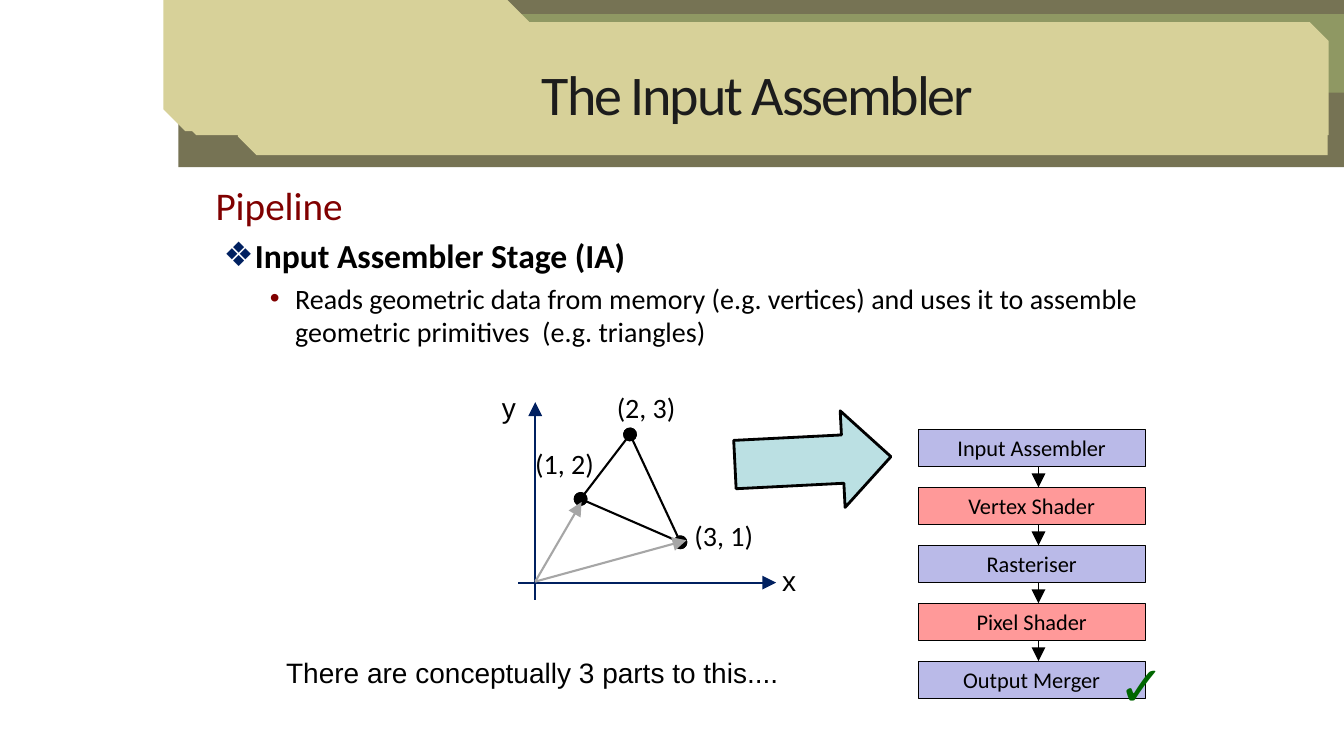
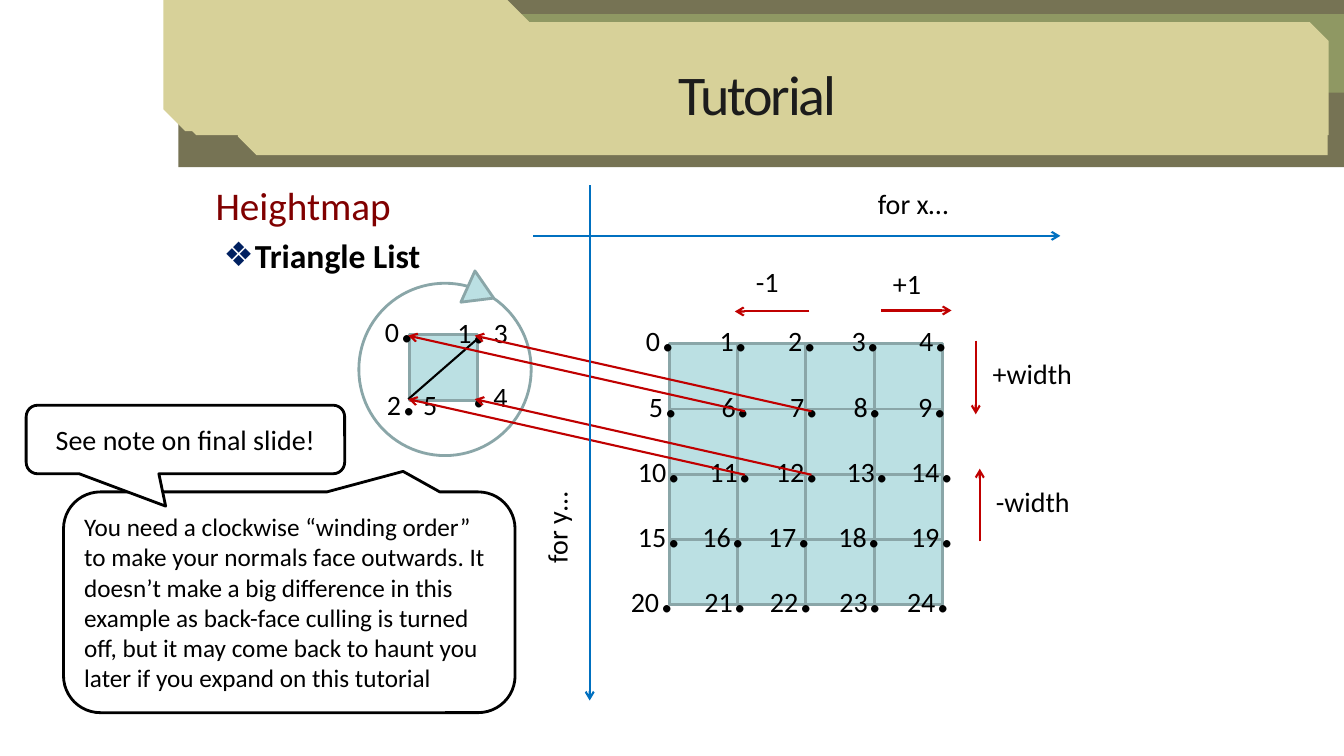
from dataclasses import dataclass
from typing import Any

from lxml import etree
from pptx import Presentation
from pptx.dml.color import RGBColor
from pptx.enum.shapes import MSO_CONNECTOR, MSO_SHAPE
from pptx.enum.text import MSO_ANCHOR, PP_ALIGN
from pptx.oxml.ns import qn
from pptx.util import Inches, Pt

RECT = MSO_SHAPE.RECTANGLE
SNIPPED = MSO_SHAPE.SNIP_2_DIAG_RECTANGLE
CALLOUT = MSO_SHAPE.ROUNDED_RECTANGULAR_CALLOUT
STRAIGHT = MSO_CONNECTOR.STRAIGHT
LEFT, CENTER = PP_ALIGN.LEFT, PP_ALIGN.CENTER
TOP, MIDDLE = MSO_ANCHOR.TOP, MSO_ANCHOR.MIDDLE

# The slide is a grid of square cells, a tenth of an inch each.
CELL = Inches(0.1)
COLUMNS, ROWS = 133.33, 75
FONT, PLAIN_FONT = "Calibri", "Arial"
COLORS = {
    "band_dark": "767354", "band_green": "8F9863", "band_sand": "D7D199",
    "title": "1C1C1C", "heading": "800000", "navy": "002060",
    "black": "000000", "white": "FFFFFF", "grey": "A6A6A6",
    "fixed_stage": "BABAE8", "shader_stage": "FF9999", "tick": "006600",
    "mesh": "BBE0E3", "mesh_line": "8AA6A8", "red": "C00000", "blue": "0070C0",
}


def rgb(name):
    return RGBColor.from_string(COLORS[name])


def write(para, spans, color="black", font=FONT, bold=False):
    """Fill a paragraph with (text, size) spans."""
    for text, size in spans:
        span = para.add_run()
        span.text = text
        span.font.name = font
        span.font.size = Pt(size)
        span.font.bold = bold
        span.font.color.rgb = rgb(color)


@dataclass
class Region:
    """A box on a slide; its parts are placed in cells from its top left."""
    slide: Any
    left: float
    top: float
    width: float
    height: float

    def place(self, x, y):
        return round((self.left + x) * CELL), round((self.top + y) * CELL)

    def shape(self, kind, x, y, width, height, fill=None, line=None, weight=2, rotation=0):
        shape = self.slide.shapes.add_shape(
            kind, *self.place(x, y), round(width * CELL), round(height * CELL))
        shape.shadow.inherit = False
        shape.rotation = rotation
        if fill:
            shape.fill.solid()
            shape.fill.fore_color.rgb = rgb(fill)
        else:
            shape.fill.background()
        if line:
            shape.line.color.rgb = rgb(line)
            shape.line.width = Pt(weight)
        else:
            shape.line.fill.background()
        return shape

    def line(self, start, end, color, weight=1.5, head=None, tail=None):
        line = self.slide.shapes.add_connector(STRAIGHT, *self.place(*start), *self.place(*end))
        line.line.color.rgb = rgb(color)
        line.line.width = Pt(weight)
        outline = line.line._get_or_add_ln()
        for tag, kind in (("a:headEnd", head), ("a:tailEnd", tail)):
            if kind:
                size = "med" if kind == "arrow" else "lg"
                etree.SubElement(outline, qn(tag), type=kind, w=size, len=size)
        etree.SubElement(line._element.spPr, qn("a:effectLst"))

    def text(self, x, y, width, height, spans, color="black", font=FONT,
             align=LEFT, anchor=TOP, rotation=0):
        box = self.slide.shapes.add_textbox(
            *self.place(x, y), round(width * CELL), round(height * CELL))
        box.rotation = rotation
        fill_text(box, spans, color, font, align, anchor)
        return box

    def label(self, x, y, text, font=FONT, width=11.5, rotation=0):
        self.text(x, y, width, 4.4, [(text, 20)], font=font, rotation=rotation)


def fill_text(shape, spans, color="black", font=FONT, align=CENTER, anchor=MIDDLE):
    frame = shape.text_frame
    frame.word_wrap = True
    frame.vertical_anchor = anchor
    para = frame.paragraphs[0]
    para.alignment = align
    write(para, spans, color, font)


def header(region, title):
    for kind, x, y, width, height, fill in (
            (RECT, 17.7, 0, 115.63, 16.6, "band_dark"),
            (RECT, 23.1, 1.4, 110.23, 7.8, "band_green"),
            (SNIPPED, 16.2, 0, 36.3, 13, "band_sand"),
            (SNIPPED, 17.6, 2.2, 114.2, 11.2, "band_sand"),
            (SNIPPED, 23.6, 4.2, 108.1, 11.2, "band_sand")):
        region.shape(kind, x, y, width, height, fill)
    box = region.text(23.6, 3, 103.1, 12.5, [(title, 40)], "title", align=CENTER, anchor=MIDDLE)
    for span in box.text_frame.paragraphs[0].runs:
        span.font._element.set("spc", "-150")


def outline(region, texts):
    """Heading, diamond point and dotted detail, one paragraph each."""
    levels = (
        # size, colour, bold, indent, hanging, bullet, bullet colour
        (28, "heading", False, 0.38, 0.38, None, None),
        (24, "black", True, 0.39, 0.31, "❖", "navy"),
        (20, "black", False, 0.79, 0.25, "•", "heading"),
    )
    box = region.slide.shapes.add_textbox(
        *region.place(0, 0), round(region.width * CELL), round(region.height * CELL))
    frame = box.text_frame
    frame.word_wrap = True
    for index, (text, level) in enumerate(zip(texts, levels)):
        size, color, bold, indent, hanging, bullet, bullet_color = level
        para = frame.add_paragraph() if index else frame.paragraphs[0]
        para.space_before = Pt(size * 0.2)
        write(para, [(text, size)], color, bold=bold)
        properties = para._p.get_or_add_pPr()
        properties.set("marL", str(Inches(indent)))
        properties.set("indent", str(-Inches(hanging)))
        if bullet:
            tint = etree.SubElement(properties, qn("a:buClr"))
            etree.SubElement(tint, qn("a:srgbClr"), val=COLORS[bullet_color])
            etree.SubElement(properties, qn("a:buFont"), typeface=PLAIN_FONT)
            etree.SubElement(properties, qn("a:buChar"), char=bullet)


def pipeline(region, stages):
    stage_height = 3.7
    pitch = (region.height - stage_height) / (len(stages) - 1)
    arrow_x = region.width * 0.53
    for index, name in enumerate(stages):
        fill = "shader_stage" if "Shader" in name else "fixed_stage"
        stage = region.shape(RECT, 0, index * pitch, region.width, stage_height,
                             fill, "black", 0.75)
        fill_text(stage, [(name, 16)])
    for index in range(len(stages) - 1):
        region.line((arrow_x, index * pitch + stage_height), (arrow_x, (index + 1) * pitch),
                    "black", 0.75, tail="triangle")
    region.text(18.9, 21.4, 6.7, 7.7, [("✓", 40)], "tick", PLAIN_FONT)


def triangle_plot(region):
    """Axes with a triangle and the vectors to two of its corners."""
    left_corner, top_corner, right_corner = (9.6, 11.5), (14.5, 5.1), (19.5, 15.8)
    origin = (5.1, 19.7)
    for start, end in ((right_corner, left_corner), (top_corner, left_corner),
                       (top_corner, right_corner)):
        region.line(start, end, "black", head="oval", tail="oval")
    region.line((5.1, 21.5), (5.1, 1.9), "navy", tail="triangle")
    region.line((3.4, 19.8), (29, 19.8), "navy", tail="triangle")
    for tip in ((20.1, 15.6), (9.7, 11.8)):
        region.line(origin, tip, "grey", tail="triangle")
    for x, y, text in ((19.9, 12.9, "(3, 1)"), (12.2, 0.3, "(2, 3)"), (4.1, 5.8, "(1, 2)")):
        region.label(x, y, text)
    region.label(28.6, 17.4, "x", PLAIN_FONT)
    region.label(0.8, 0.2, "y", PLAIN_FONT)


def mesh(region, label_columns):
    """Square grid of cells with a numbered dot at each node."""
    count = len(label_columns) - 1
    cell_width, cell_height = region.width / count, region.height / count
    for row in range(count):
        for column in range(count):
            region.shape(RECT, column * cell_width, row * cell_height,
                         cell_width, cell_height, "mesh", "mesh_line")
    number = 0
    for row, columns in enumerate(label_columns):
        for x in columns:
            region.text(x, row * cell_height - 5.8, 7.6, 8.4, [(str(number), 20), (".", 44)])
            number += 1


def winding_quad(region):
    """One mesh cell as two triangles inside a clockwise circle."""
    region.shape(RECT, 5, 5.6, 6.8, 6.5, "mesh", "mesh_line")
    region.line((4.9, 12), (11.9, 5.9), "black")
    for x, y, spans in (
            (1.6, -0.2, [("0", 20), (".", 44)]),
            (1.8, 7, [("2", 20), (".", 44), (" 5", 20)]),
            (8.8, -0.1, [("1", 20), (".", 44), (" 3", 20)]),
            (10.2, 6.2, [(".", 44), (" 4", 20)])):
        region.text(x, y, 8.5, 8.4, spans)
    region.shape(MSO_SHAPE.OVAL, 0, 0.5, 17.1, 17.1, None, "mesh_line")
    region.shape(MSO_SHAPE.ISOSCELES_TRIANGLE, 10.4, 0, 3.4, 2.8, "mesh", "mesh_line",
                 rotation=114.2)


def node_links(region):
    """Arrows from four mesh nodes to the corners of the quad."""
    step_x, step_y = 6.6, 6.3
    for row in range(2):
        for column in range(2):
            x, y = column * step_x, row * step_y
            region.line((33.4 + x, 7.5 + y), (x, y), "red", tail="arrow")


def loop_guides(region):
    """Loop axes and the index steps around the mesh."""
    for start, end, color in (
            ((0, 5), (52.3, 5), "blue"), ((5.6, 0), (5.6, 51.1), "blue"),
            ((34.5, 12.4), (41.5, 12.4), "red"), ((27.4, 12.5), (20, 12.5), "red"),
            ((43.9, 15.4), (43.9, 22.7), "red"), ((44.3, 35.3), (44.3, 28.1), "red")):
        region.line(start, end, color, tail="arrow")
    for x, y, text in ((34.7, 7.5, "+1"), (21.1, 7.4, "-1"), (44.6, 16.5, "+width"),
                       (44.9, 29.2, "-width"), (33.2, -0.4, "for x…")):
        region.label(x, y, text)
    region.label(-3.4, 30.5, "for y…", rotation=270)


def callout(region, text, size, pointer, align):
    shape = region.shape(CALLOUT, 0, 0, region.width, region.height, "white", "black")
    for index, share in enumerate((*pointer, 0.167)):
        shape.adjustments[index] = share
    fill_text(shape, [(text, size)], align=align)


def new_slide(deck, title, texts):
    slide = deck.slides.add_slide(deck.slide_layouts[6])
    header(Region(slide, 0, 0, COLUMNS, 16.6), title)
    outline(Region(slide, 20.4, 17.5, 93.7, 53.2), texts)
    return slide


def input_assembler_slide(deck):
    slide = new_slide(deck, "The Input Assembler", (
        "Pipeline", "Input Assembler Stage (IA)",
        "Reads geometric data from memory (e.g. vertices) and uses it to assemble "
        "geometric primitives  (e.g. triangles)"))
    pipeline(Region(slide, 91.1, 42.6, 22.5, 26.7), (
        "Input Assembler", "Vertex Shader", "Rasteriser", "Pixel Shader", "Output Merger"))
    triangle_plot(Region(slide, 48, 38, 32, 22))
    page = Region(slide, 0, 0, COLUMNS, ROWS)
    page.shape(MSO_SHAPE.RIGHT_ARROW, 72.9, 40.9, 15.5, 9.6, "mesh", "black", rotation=357.1)
    page.label(27.4, 64.5, "There are conceptually 3 parts to this....", PLAIN_FONT, 54)


def tutorial_slide(deck):
    slide = new_slide(deck, "Tutorial", ("Heightmap", "Triangle List"))
    mesh(Region(slide, 66.4, 34.1, 27.1, 25.9), (
        (-3.3, 4, 10.8, 17.1, 23.8),
        (-3, 4.2, 11, 17.3, 23.7),
        (-4.1, 3, 9.6, 16.6, 23),
        (-4.1, 2.3, 8.8, 15.8, 23),
        (-4.8, 2.5, 9, 15.9, 22.6)))
    winding_quad(Region(slide, 35.6, 27.6, 17.1, 17.6))
    node_links(Region(slide, 40.5, 33.3, 40, 13.8))
    loop_guides(Region(slide, 52.9, 18.4, 56.4, 51.1))
    callout(Region(slide, 6.3, 48.8, 44.8, 21.9),
            "You need a clockwise “winding order” to make your normals face outwards. "
            "It doesn’t make a big difference in this example as back-face culling is "
            "turned off, but it may come back to haunt you later if you expand on this "
            "tutorial", 18, (0.252, -0.593), LEFT)
    callout(Region(slide, 2.6, 40.2, 31.6, 6.8), "See note on final slide!", 20,
            (-0.062, 0.973), CENTER)


def main():
    deck = Presentation()
    deck.slide_width = round(COLUMNS * CELL)
    deck.slide_height = ROWS * CELL
    input_assembler_slide(deck)
    tutorial_slide(deck)
    deck.save("out.pptx")


if __name__ == "__main__":
    main()
